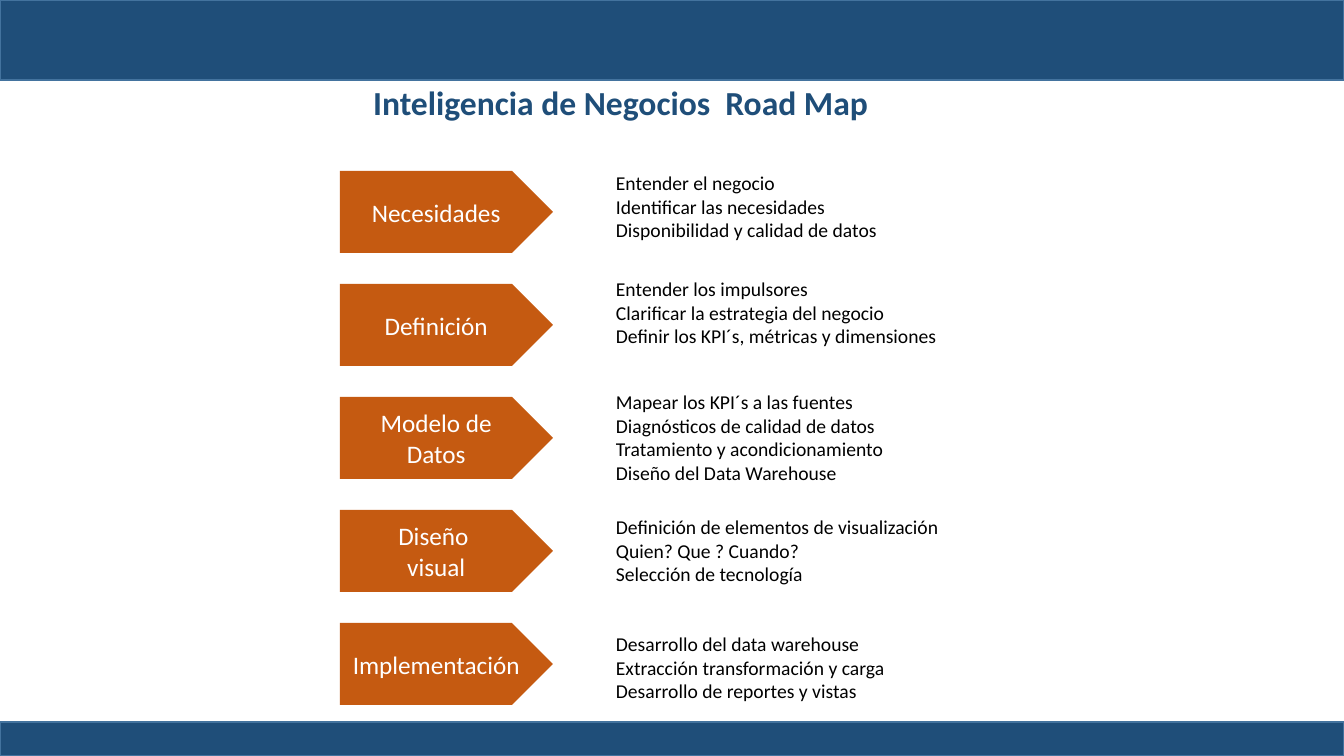
from pptx import Presentation
from pptx import util as u
from pptx.dml.color import RGBColor
from pptx.enum import shapes, text

SCALE = 12192000 / 1344
HUES = {"navy": "1F4E79", "edge": "43739E", "rust": "C55A11",
        "white": "FFFFFF", "black": "000000"}
STEPS = [
    (["Necesidades"], -5,
     ["Entender el negocio", "Identificar las necesidades",
      "Disponibilidad y calidad de datos"]),
    (["Definición"], -12,
     ["Entender los impulsores", "Clarificar la estrategia del negocio",
      "Definir los KPI´s, métricas y dimensiones"]),
    (["Modelo de Datos"], -12,
     ["Mapear los KPI´s a las fuentes", "Diagnósticos de calidad de datos",
      "Tratamiento y acondicionamiento", "Diseño del Data Warehouse"]),
    (["Diseño ", "visual"], 0,
     ["Definición de elementos de visualización", "Quien? Que ? Cuando?",
      "Selección de tecnología"]),
    (["Implementación"], 4,
     ["Desarrollo del data warehouse", "Extracción transformación y carga",
      "Desarrollo de reportes y vistas"]),
]


def px(*sizes):
    return [u.Emu(round(size * SCALE)) for size in sizes]


def hue(name):
    return RGBColor.from_string(HUES[name])


def write(shape, lines, size=14, color="black", bold=False,
          align=text.PP_ALIGN.LEFT, anchor=text.MSO_ANCHOR.TOP, wrap=False):
    frame = shape.text_frame
    frame.word_wrap = wrap
    frame.auto_size = text.MSO_AUTO_SIZE.NONE
    frame.vertical_anchor = anchor
    for i, line in enumerate(lines):
        para = frame.paragraphs[0] if i == 0 else frame.add_paragraph()
        para.alignment = align
        run = para.add_run()
        run.text = line
        run.font.name = "Calibri"
        run.font.size = u.Pt(size)
        run.font.bold = bold
        run.font.color.rgb = hue(color)


def block(slide, kind, box, fill, edge=None):
    shape = slide.shapes.add_shape(kind, *px(*box))
    shape.shadow.inherit = False
    shape.fill.solid()
    shape.fill.fore_color.rgb = hue(fill)
    if edge:
        shape.line.color.rgb = hue(edge)
        shape.line.width = u.Pt(1)
    else:
        shape.line.fill.background()
    return shape


def bars(slide, wide, high):
    for top, tall in ((0, 80), (high - 34, 34)):
        block(slide, shapes.MSO_SHAPE.RECTANGLE, (0, top, wide, tall),
              "navy", "edge")


def title(slide, box):
    head = slide.shapes.title
    head.left, head.top, head.width, head.height = px(*box)
    write(head, ["Inteligencia de Negocios  Road Map"], size=24,
          color="navy", bold=True)


def step(slide, box, name, shift, notes):
    left, top, wide, high = box
    arrow = block(slide, shapes.MSO_SHAPE.PENTAGON, (left, top, 213, high),
                  "rust")
    write(arrow, name, size=18, color="white", wrap=True,
          align=text.PP_ALIGN.CENTER, anchor=text.MSO_ANCHOR.MIDDLE)
    tall = 11 + 24 * len(notes)
    area = px(left + 266, top + shift, wide - 266, tall)
    write(slide.shapes.add_textbox(*area), notes)


def road(slide, box):
    left, top, wide, high = box
    tall = 82
    pitch = (high - tall) / (len(STEPS) - 1)
    for i, (name, shift, notes) in enumerate(STEPS):
        step(slide, (left, top + i * pitch, wide, tall), name, shift, notes)


def main():
    deck = Presentation()
    deck.slide_width, deck.slide_height = px(1344, 756)
    slide = deck.slides.add_slide(deck.slide_layouts[5])
    bars(slide, 1344, 756)
    road(slide, (340, 171, 612, 534))
    title(slide, (363, 77, 527, 50))
    deck.save("out.pptx")


if __name__ == "__main__":
    main()
